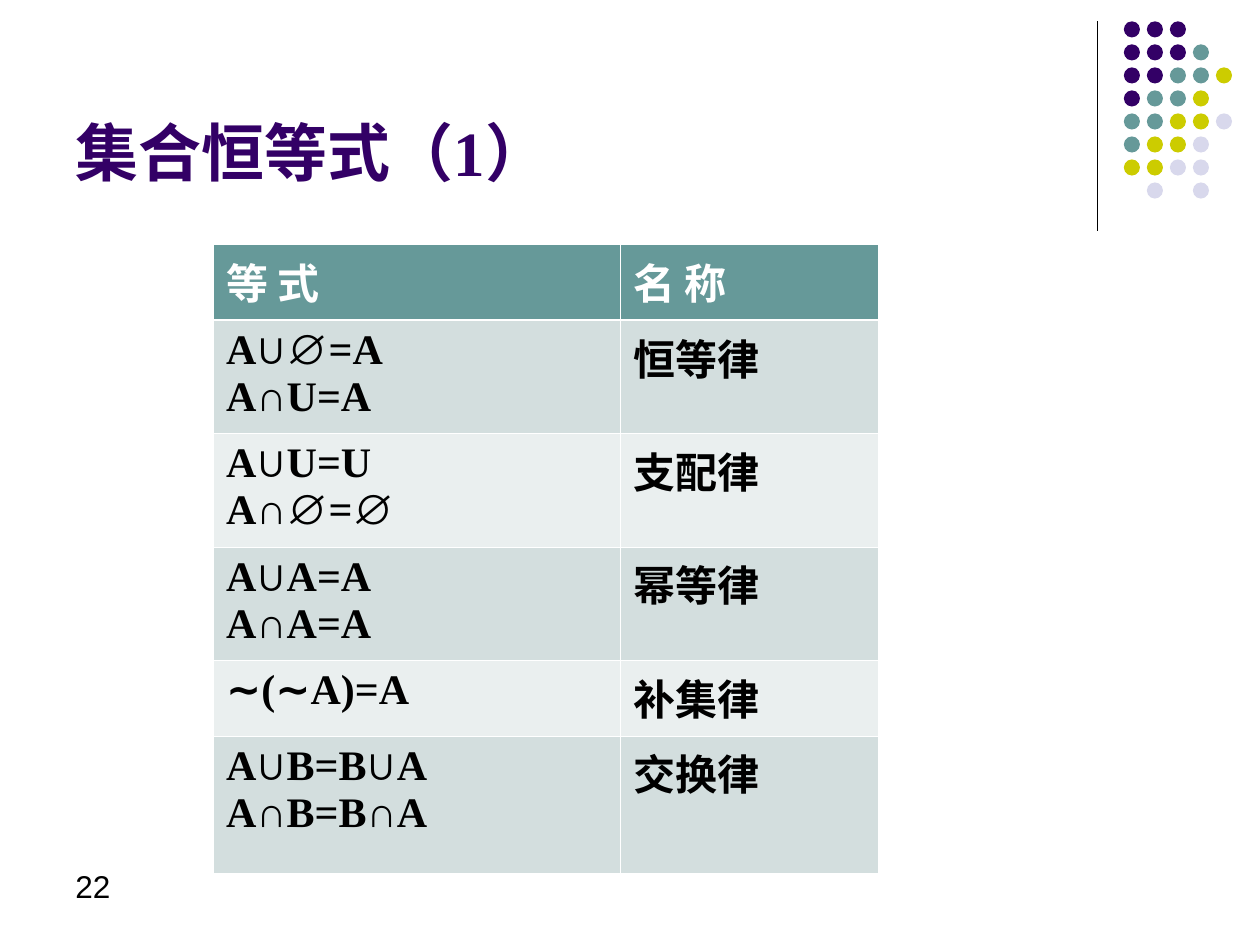
from itertools import groupby

from lxml import etree
from pptx import Presentation
from pptx.dml.color import RGBColor
from pptx.enum.shapes import MSO_CONNECTOR, MSO_SHAPE
from pptx.enum.text import MSO_ANCHOR, MSO_AUTO_SIZE, PP_ALIGN
from pptx.oxml.ns import qn
from pptx.util import Pt

OVAL, LINE = MSO_SHAPE.OVAL, MSO_CONNECTOR.STRAIGHT
BOTTOM, LEFT, FIXED = MSO_ANCHOR.BOTTOM, PP_ALIGN.LEFT, MSO_AUTO_SIZE.NONE
TITLE_ONLY = 5
SERIF, SANS = "Times New Roman", "Arial"
PURPLE, TEAL, BLACK, WHITE = "330066", "669999", "000000", "FFFFFF"
BANDS = ["D3DEDE", "EAEFEF"]
SIGNS = "∪∩∅∼"

DOTS = ["PPP", "PPPT", "PPTTY", "PTTY", "TTYYL", "TYYL", "YYLL", " L L"]
DOT_FILL = {"P": PURPLE, "T": TEAL, "Y": "CCCC00", "L": "D8D8EC"}

WIDTHS = [232.6, 147.6]
HEIGHTS = [43.2, 64.8, 64.8, 64.8, 43.2, 78.5]
LAWS = [
    ("等 式", "名 称"),
    ("A∪∅=A\nA∩U=A", "恒等律"),
    ("A∪U=U\nA∩∅=∅", "支配律"),
    ("A∪A=A\nA∩A=A", "幂等律"),
    ("∼(∼A)=A", "补集律"),
    ("A∪B=B∪A\nA∩B=B∩A", "交换律"),
]


def color(code):
    return RGBColor.from_string(code)


def style(font, code, **values):
    for key, value in values.items():
        setattr(font, key, value)
    font.color.rgb = color(code)


def paint(shape, code):
    shape.fill.solid()
    shape.fill.fore_color.rgb = color(code)


def add_dots(slide, box):
    left, top, width, height = box
    # Rule to the left of the dots
    rule = slide.shapes.add_connector(
        LINE, Pt(left), Pt(top), Pt(left), Pt(top + height))
    rule.line.color.rgb = color(BLACK)
    rule.line.width = Pt(0.75)
    etree.SubElement(rule._element.spPr, qn("a:effectLst"))
    # Dot grid
    size, step = 9.2, 13.15
    start = left + width - 4 * step - size
    group = slide.shapes.add_group_shape()
    for row, marks in enumerate(DOTS):
        for col, mark in enumerate(marks):
            if mark in DOT_FILL:
                dot = group.shapes.add_shape(
                    OVAL, Pt(start + col * step), Pt(top + row * step),
                    Pt(size), Pt(size))
                dot.shadow.inherit = False
                paint(dot, DOT_FILL[mark])
                dot.line.fill.background()


def add_title(slide, box, text):
    title = slide.shapes.title
    title.left, title.top, title.width, title.height = map(Pt, box)
    frame = title.text_frame
    frame.text = text
    frame.auto_size = FIXED
    frame.vertical_anchor = BOTTOM
    para = frame.paragraphs[0]
    para.alignment = LEFT
    style(para.runs[0].font, PURPLE, name=SERIF, size=Pt(36), bold=True)


def add_border(cell, side, width):
    edge = etree.SubElement(
        cell._tc.get_or_add_tcPr(), qn("a:ln" + side), w=str(Pt(width)))
    fill = etree.SubElement(edge, qn("a:solidFill"))
    etree.SubElement(fill, qn("a:srgbClr"), val=WHITE)


def fill_cell(cell, text, row):
    # Borders come before the fill; the header rule is thicker
    for side in "LRTB":
        thick = (row, side) in [(0, "B"), (1, "T")]
        add_border(cell, side, 1.47 if thick else 0.45)
    paint(cell, BANDS[(row - 1) % 2] if row else TEAL)
    # Set signs are in the sans font, all else in the serif one
    frame = cell.text_frame
    for num, line in enumerate(text.split("\n")):
        para = frame.add_paragraph() if num else frame.paragraphs[0]
        for sign, chars in groupby(line, lambda char: char in SIGNS):
            run = para.add_run()
            run.text = "".join(chars)
            style(run.font, BLACK if row else WHITE,
                  name=SANS if sign else SERIF, size=Pt(24), bold=True)


def add_laws(slide, box):
    table = slide.shapes.add_table(
        len(LAWS), len(WIDTHS), *map(Pt, box)).table
    table.first_row = table.horz_banding = False
    for col, width in zip(table.columns, WIDTHS):
        col.width = Pt(width)
    for num, (row, height) in enumerate(zip(table.rows, HEIGHTS)):
        row.height = Pt(height)
        for cell, text in zip(row.cells, LAWS[num]):
            fill_cell(cell, text, num)


def add_number(slide, box, text):
    frame = slide.shapes.add_textbox(*map(Pt, box)).text_frame
    frame.word_wrap = True
    frame.text = text
    style(frame.paragraphs[0].runs[0].font, BLACK, name=SANS, size=Pt(18))


def main():
    deck = Presentation()
    deck.slide_width, deck.slide_height = Pt(720), Pt(540)
    slide = deck.slides.add_slide(deck.slide_layouts[TITLE_ONLY])
    add_dots(slide, (627, 12.2, 77, 119.6))
    add_title(slide, (36, 9.4, 594, 102.2), "集合恒等式（1）")
    add_laws(slide, (122, 139.7, sum(WIDTHS), sum(HEIGHTS)))
    add_number(slide, (36, 491.8, 167.8, 36), "22")
    deck.save("out.pptx")


if __name__ == "__main__":
    main()
